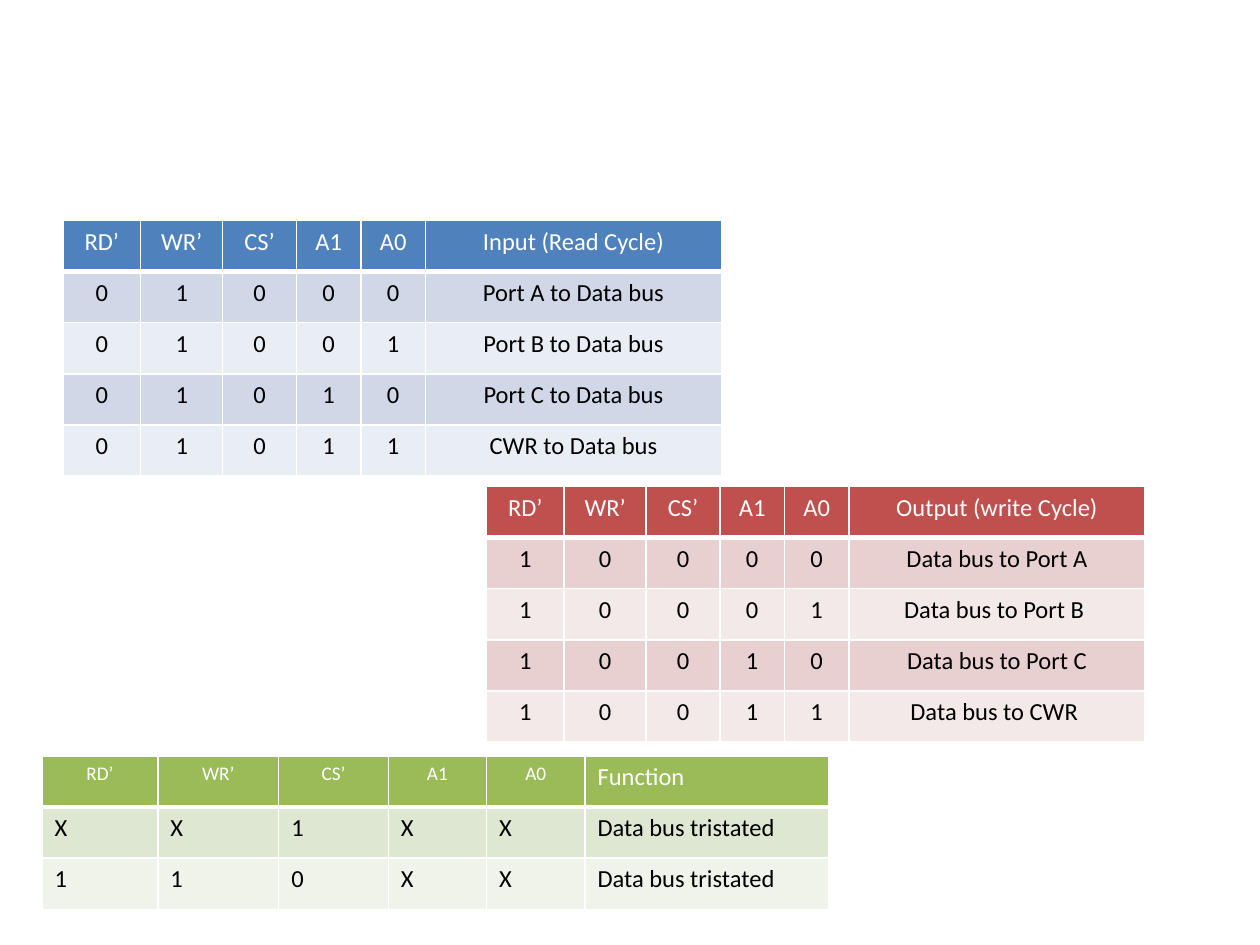
from lxml import etree
from pptx import Presentation
from pptx.dml.color import RGBColor
from pptx.enum import text
from pptx.oxml import ns
from pptx.util import Pt

WHITE = RGBColor(0xFF, 0xFF, 0xFF)
BLACK = RGBColor(0x00, 0x00, 0x00)
BLUE = [RGBColor(0x4F, 0x81, 0xBD), RGBColor(0xD0, 0xD8, 0xE8), RGBColor(0xE9, 0xED, 0xF4)]
RED = [RGBColor(0xC0, 0x50, 0x4D), RGBColor(0xE8, 0xD0, 0xD0), RGBColor(0xF4, 0xE9, 0xE9)]
GREEN = [RGBColor(0x9B, 0xBB, 0x59), RGBColor(0xDE, 0xE7, 0xD1), RGBColor(0xEF, 0xF3, 0xEA)]

ROW_HEIGHT = 29.2
SIGNALS = ["RD’", "WR’", "CS’", "A1", "A0"]
CYCLE_WIDTHS = [44.4, 46.9, 42.1, 36.9, 36.9, 169.2]
IDLE_WIDTHS = [66.2, 69.1, 62.6, 56.2, 56.2, 139.2]

READ_CYCLE = [
    [*SIGNALS, "Input (Read Cycle)"],
    [*"01000", "Port A to Data bus"],
    [*"01001", "Port B to Data bus"],
    [*"01010", "Port C to Data bus"],
    [*"01011", "CWR to Data bus"],
]
WRITE_CYCLE = [
    [*SIGNALS, "Output (write Cycle)"],
    [*"10000", "Data bus to Port A"],
    [*"10001", "Data bus to Port B "],
    [*"10010", "Data bus to Port C"],
    [*"10011", "Data bus to CWR "],
]
IDLE_BUS = [
    [*SIGNALS, "Function"],
    [*"XX1XX", "Data bus tristated"],
    [*"110XX", "Data bus tristated"],
]


def add_white_borders(cell, bottom_width):
    """Draw 1 pt white cell edges, with the bottom edge at its own width."""
    properties = cell._tc.get_or_add_tcPr()
    for edge, width in (("L", 1), ("R", 1), ("T", 1), ("B", bottom_width)):
        line = etree.SubElement(properties, ns.qn(f"a:ln{edge}"), w=str(Pt(width)))
        fill = etree.SubElement(line, ns.qn("a:solidFill"))
        etree.SubElement(fill, ns.qn("a:srgbClr"), val=str(WHITE))


def add_truth_table(left, top, widths, rows, shades, signal_size, centred_rows, centred_columns):
    """Place a table with a dark header and two alternating body shades."""
    table = slide.shapes.add_table(
        len(rows), len(widths), Pt(left), Pt(top), Pt(sum(widths)), Pt(ROW_HEIGHT * len(rows))
    ).table
    for column, width in zip(table.columns, widths):
        column.width = Pt(width)
    for r, values in enumerate(rows):
        table.rows[r].height = Pt(ROW_HEIGHT)
        is_header = r == 0
        for c, value in enumerate(values):
            cell = table.cell(r, c)
            add_white_borders(cell, 3 if is_header else 1)
            cell.fill.solid()
            cell.fill.fore_color.rgb = shades[0] if is_header else shades[2 - r % 2]
            cell.text_frame.text = value
            paragraph = cell.text_frame.paragraphs[0]
            centred = r < centred_rows and c < centred_columns
            paragraph.alignment = text.PP_ALIGN.CENTER if centred else text.PP_ALIGN.LEFT
            font = paragraph.runs[0].font
            font.name = "Calibri"
            font.size = Pt(signal_size if is_header and c < len(SIGNALS) else 14)
            font.bold = False
            font.color.rgb = WHITE if is_header else BLACK


prs = Presentation()
prs.slide_width, prs.slide_height = Pt(720), Pt(540)
slide = prs.slides.add_slide(prs.slide_layouts[6])

add_truth_table(36, 126, CYCLE_WIDTHS, READ_CYCLE, BLUE, 14, 5, 6)
add_truth_table(278, 278, CYCLE_WIDTHS, WRITE_CYCLE, RED, 14, 5, 6)
add_truth_table(24, 432, IDLE_WIDTHS, IDLE_BUS, GREEN, 11, 1, 5)

prs.save("out.pptx")
